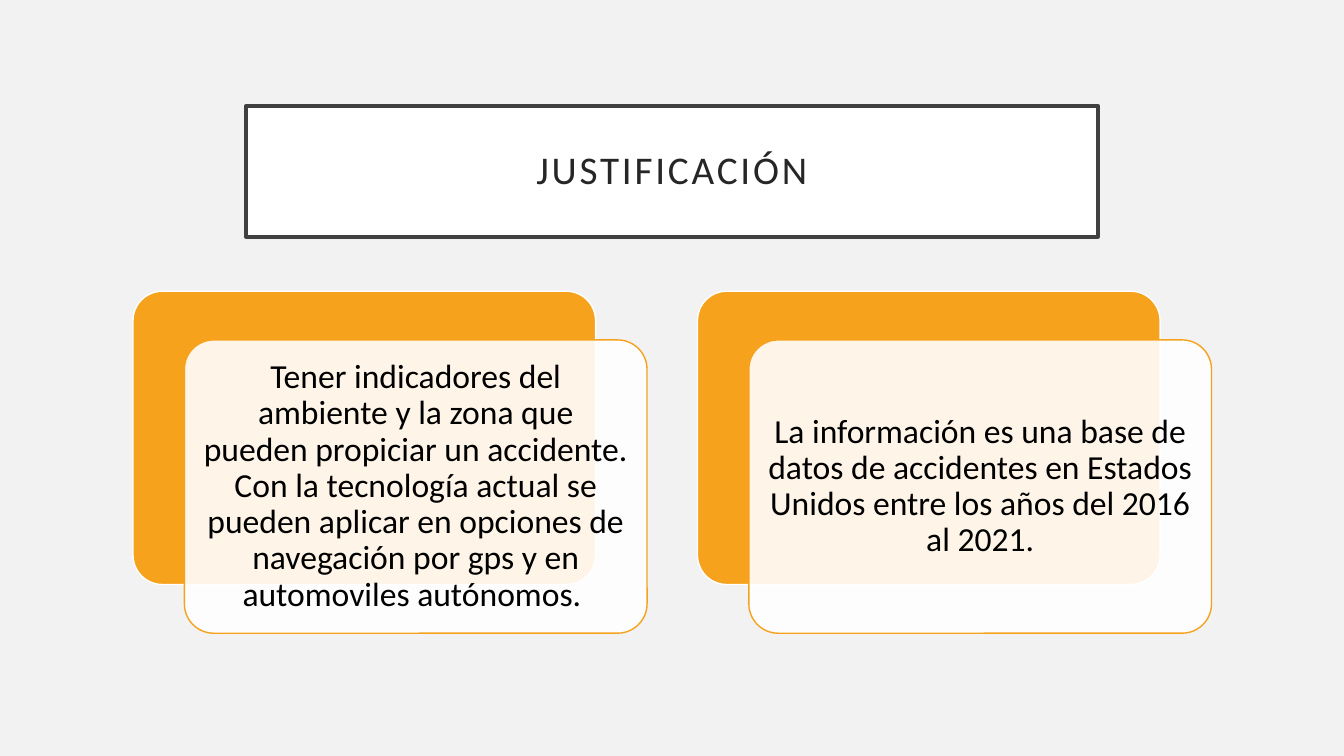
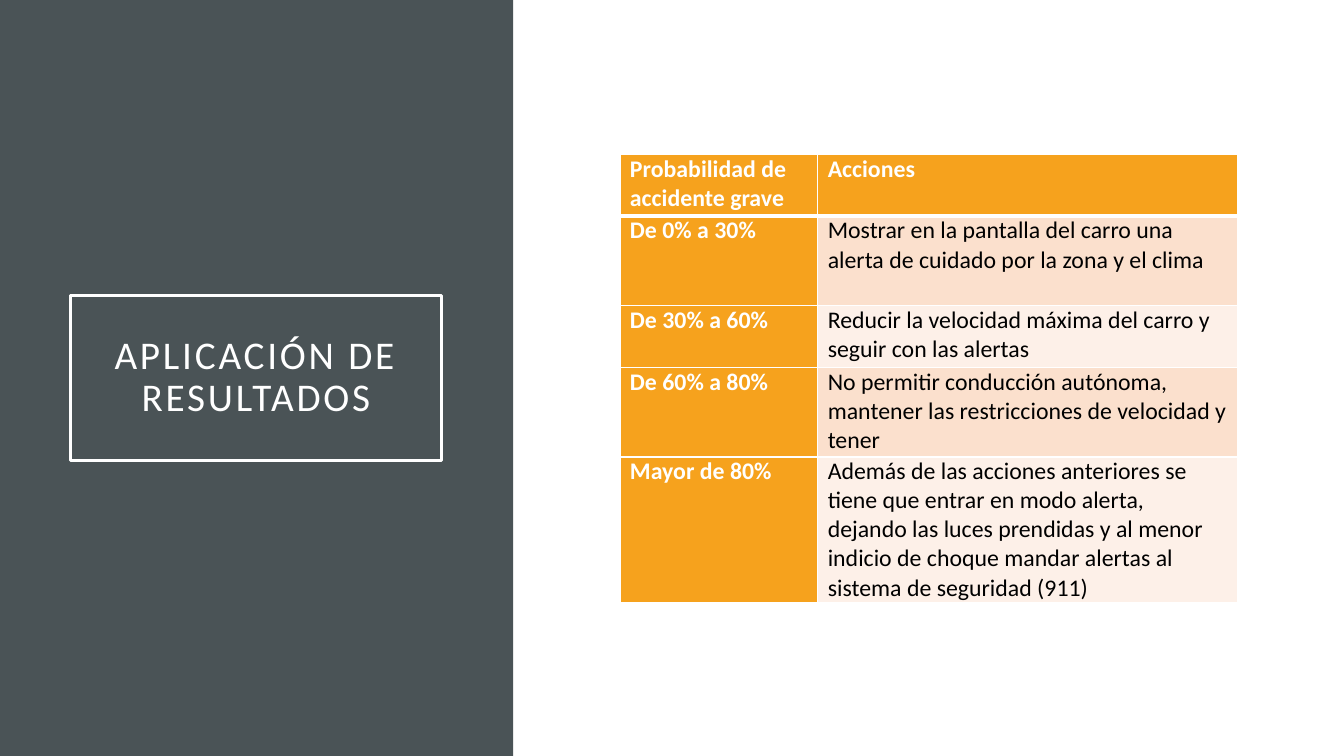
import dataclasses

import pptx
import pptx.dml.color
import pptx.enum.shapes
import pptx.enum.text
import pptx.oxml
import pptx.oxml.ns
import pptx.util

Pt = pptx.util.Pt
ANCHOR = pptx.enum.text.MSO_ANCHOR
ALIGN = pptx.enum.text.PP_ALIGN
SHAPE = pptx.enum.shapes.MSO_SHAPE


@dataclasses.dataclass(frozen=True)
class Theme:
    font: str = "Calibri"
    white: str = "FFFFFF"
    black: str = "000000"
    pale_gray: str = "F2F2F2"
    frame: str = "404040"
    title_ink: str = "262626"
    slate: str = "4A5356"
    orange: str = "F6A21D"
    bands: tuple = ("FBE0CD", "FDF0E8")
    title_size: float = 28
    card_size: float = 24
    table_size: float = 17


@dataclasses.dataclass(frozen=True)
class Box:
    left: float
    top: float
    width: float
    height: float

    def emu(self):
        return [Pt(value) for value in dataclasses.astuple(self)]


THEME = Theme()
SLIDE = Box(0, 0, 960, 540)

REASONS = (
    "Tener indicadores del ambiente y la zona que pueden propiciar un accidente. "
    "Con la tecnología actual se pueden aplicar en opciones de navegación por gps "
    "y en automoviles autónomos. ",
    "La información es una base de datos de accidentes en Estados Unidos entre "
    "los años del 2016 al 2021.",
)
ACTIONS = (
    ("Probabilidad de accidente grave", "Acciones"),
    ("De 0% a 30%",
     "Mostrar en la pantalla del carro una alerta de cuidado por la zona y el clima"),
    ("De 30% a 60%",
     "Reducir la velocidad máxima del carro y seguir con las alertas"),
    ("De 60% a 80%",
     "No permitir conducción autónoma, mantener las restricciones de velocidad y tener"),
    ("Mayor de 80%",
     "Además de las acciones anteriores se tiene que entrar en modo alerta, dejando "
     "las luces prendidas y al menor indicio de choque mandar alertas al sistema de "
     "seguridad (911)"),
)
COLUMN_SHARES = (0.32, 0.68)
ROW_HEIGHTS = (44, 64, 44, 64, 104)


def rgb(color):
    return pptx.dml.color.RGBColor.from_string(color)


def paint(fill, color):
    fill.solid()
    fill.fore_color.rgb = rgb(color)


def outline(shape, color, width):
    paint(shape.line.fill, color)
    shape.line.width = Pt(width)


def write(frame, text, size, color, bold=False, align=ALIGN.LEFT, spacing=1):
    """Set one paragraph and return its run."""
    frame.text = text
    frame.word_wrap = True
    paragraph = frame.paragraphs[0]
    paragraph.alignment = align
    paragraph.line_spacing = spacing
    run = paragraph.runs[0]
    run.font.name = THEME.font
    run.font.size = Pt(size)
    run.font.bold = bold
    run.font.color.rgb = rgb(color)
    return run


def set_insets(holder, horizontal, vertical):
    holder.margin_left = holder.margin_right = Pt(horizontal)
    holder.margin_top = holder.margin_bottom = Pt(vertical)


def new_slide(deck, background):
    slide = deck.slides.add_slide(deck.slide_layouts[5])  # Title Only
    paint(slide.background.fill, background)
    return slide


def framed_title(slide, box, text, ink, border, fill=None):
    title = slide.shapes.title
    title.left, title.top, title.width, title.height = box.emu()
    if fill:
        paint(title.fill, fill)
    outline(title, border, 2.5)
    frame = title.text_frame
    frame.auto_size = pptx.enum.text.MSO_AUTO_SIZE.NONE
    frame.vertical_anchor = ANCHOR.MIDDLE
    set_insets(frame, 14.4, 14.4)
    run = write(frame, text, THEME.title_size, ink, align=ALIGN.CENTER, spacing=0.9)
    run.font._element.set("spc", "200")  # letter spacing of 2 points


def rounded_panel(slide, box, fill, border):
    panel = slide.shapes.add_shape(SHAPE.ROUNDED_RECTANGLE, *box.emu())
    panel.adjustments[0] = 0.1
    panel.shadow.inherit = False
    paint(panel.fill, fill)
    outline(panel, border, 1)
    return panel


def reason_card(slide, box, text):
    """Orange panel with a translucent text panel shifted over it."""
    shift_x, shift_y = 36.7, 34.8
    width, height = box.width - shift_x, box.height - shift_y
    rounded_panel(slide, Box(box.left, box.top, width, height),
                  THEME.orange, THEME.white)
    front = rounded_panel(
        slide, Box(box.left + shift_x, box.top + shift_y, width, height),
        THEME.white, THEME.orange)
    color = front.fill._xPr.find(".//" + pptx.oxml.ns.qn("a:srgbClr"))
    pptx.oxml.ns.qn("a:alpha")
    color.append(pptx.oxml.parse_xml(
        f'<a:alpha {pptx.oxml.ns.nsdecls("a")} val="90000"/>'))
    set_insets(front.text_frame, 7.2, 7.2)
    front.text_frame.vertical_anchor = ANCHOR.MIDDLE
    write(front.text_frame, text, THEME.card_size, THEME.black,
          align=ALIGN.CENTER, spacing=0.9)


def reason_cards(slide, box, texts):
    gap = 36
    width = (box.width - gap * (len(texts) - 1)) / len(texts)
    for index, text in enumerate(texts):
        left = box.left + index * (width + gap)
        reason_card(slide, Box(left, box.top, width, box.height), text)


def cell_borders(cell, top, bottom):
    properties = cell._tc.get_or_add_tcPr()
    widths = {"lnL": 1, "lnR": 1, "lnT": top, "lnB": bottom}
    for position, (side, width) in enumerate(widths.items()):
        properties.insert(position, pptx.oxml.parse_xml(
            f'<a:{side} {pptx.oxml.ns.nsdecls("a")} w="{Pt(width)}"><a:solidFill>'
            f'<a:srgbClr val="{THEME.white}"/></a:solidFill></a:{side}>'))


def action_table(slide, box, rows):
    table = slide.shapes.add_table(len(rows), len(rows[0]), *box.emu()).table
    for column, share in zip(table.columns, COLUMN_SHARES):
        column.width = Pt(round(box.width * share, 1))
    for row, height in zip(table.rows, ROW_HEIGHTS):
        row.height = Pt(height)
    for r, texts in enumerate(rows):
        for c, text in enumerate(texts):
            cell = table.cell(r, c)
            heading = r == 0 or c == 0
            paint(cell.fill, THEME.orange if heading else THEME.bands[(r - 1) % 2])
            set_insets(cell, 7.2, 0)
            write(cell.text_frame, text, THEME.table_size,
                  THEME.white if heading else THEME.black, bold=heading)
            # Heavier rule under the header row
            cell_borders(cell, 3 if r == 1 else 1, 3 if r == 0 else 1)


def side_panel(slide, box):
    panel = slide.shapes.add_shape(SHAPE.RECTANGLE, *box.emu())
    panel.shadow.inherit = False
    paint(panel.fill, THEME.slate)
    panel.line.fill.background()
    slide.shapes._spTree.insert(2, panel._element)  # behind the title


def justification_slide(deck):
    slide = new_slide(deck, THEME.pale_gray)
    framed_title(slide, Box(175.7, 75.6, 608.6, 93.6), "JUSTIFICACIÓN",
                 THEME.title_ink, THEME.frame, THEME.white)
    reason_cards(slide, Box(95, 208, 770.4, 244.3), REASONS)


def results_slide(deck):
    slide = new_slide(deck, THEME.white)
    side_panel(slide, Box(0, 0, 366.5, SLIDE.height))
    framed_title(slide, Box(50.4, 211, 265, 118), "APLICACIÓN DE RESULTADOS",
                 THEME.white, THEME.white)
    action_table(slide, Box(442.8, 110.5, 441.5, sum(ROW_HEIGHTS)), ACTIONS)


def main():
    deck = pptx.Presentation()
    deck.slide_width, deck.slide_height = Pt(SLIDE.width), Pt(SLIDE.height)
    justification_slide(deck)
    results_slide(deck)
    deck.save("out.pptx")


if __name__ == "__main__":
    main()
